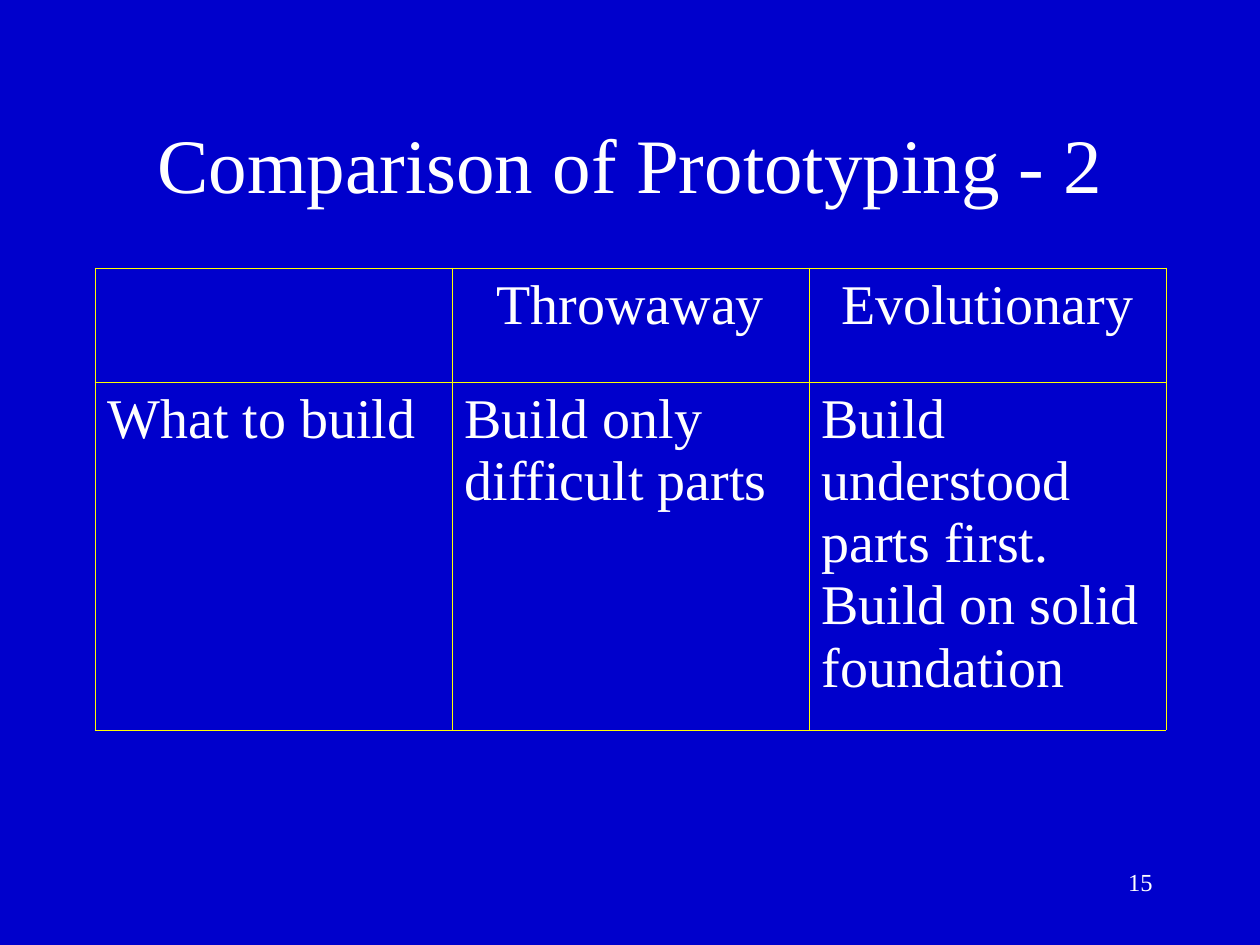
from lxml import etree
from pptx import Presentation
from pptx.dml.color import RGBColor
from pptx.enum.text import MSO_ANCHOR, PP_ALIGN
from pptx.oxml.ns import qn
from pptx.util import Emu, Pt

LEFT, CENTER, RIGHT = PP_ALIGN.LEFT, PP_ALIGN.CENTER, PP_ALIGN.RIGHT
TOP, MIDDLE = MSO_ANCHOR.TOP, MSO_ANCHOR.MIDDLE
FONT = "Times New Roman"
BLUE, WHITE, YELLOW = "0000CC", "FFFFFF", "FFFF00"
COL_WIDTH = 357
ROW_HEIGHTS = [114, 348]
ROWS = [
    ["", "Throwaway", "Evolutionary"],
    ["What to build", "Build only difficult parts",
     "Build understood parts first. Build on solid foundation"],
]


def px(n):
    """Turn pixels into EMU at 126 pixels to the inch."""
    return Emu(round(n * 914400 / 126))


def color(value):
    """Turn a hex string into a colour."""
    return RGBColor.from_string(value)


def write(tf, text, size, align=LEFT):
    """Put one formatted paragraph into a text frame."""
    tf.word_wrap = True
    p = tf.paragraphs[0]
    p.alignment = align
    r = p.add_run()
    r.text = text
    r.font.name = FONT
    r.font.size = Pt(size)
    r.font.color.rgb = color(WHITE)


def add_title(s, text, x, y, w, h):
    """Place and format the title placeholder."""
    title = s.shapes.title
    title.left, title.top, title.width, title.height = map(px, (x, y, w, h))
    title.text_frame.vertical_anchor = MIDDLE
    write(title.text_frame, text, 44, CENTER)


def add_label(s, text, x, y, w, h, size, align):
    """Add a text box with one line of text."""
    tf = s.shapes.add_textbox(*map(px, (x, y, w, h))).text_frame
    tf.vertical_anchor = TOP
    write(tf, text, size, align)


def set_borders(cell, value, width):
    """Draw all four borders of a cell."""
    tc_pr = cell._tc.get_or_add_tcPr()
    for i, side in enumerate(("lnL", "lnR", "lnT", "lnB")):
        ln = etree.Element(qn(f"a:{side}"), w=str(Pt(width)))
        fill = etree.SubElement(ln, qn("a:solidFill"))
        etree.SubElement(fill, qn("a:srgbClr"), val=value)
        tc_pr.insert(i, ln)


def add_comparison(s, x, y):
    """Add the comparison table with a centred header row."""
    n_cols = len(ROWS[0])
    size = (COL_WIDTH * n_cols, sum(ROW_HEIGHTS))
    table = s.shapes.add_table(len(ROWS), n_cols, *map(px, (x, y, *size))).table
    table.first_row = table.horz_banding = False
    for col in table.columns:
        col.width = px(COL_WIDTH)
    for i, (height, texts) in enumerate(zip(ROW_HEIGHTS, ROWS)):
        table.rows[i].height = px(height)
        for j, text in enumerate(texts):
            cell = table.cell(i, j)
            cell.fill.background()
            cell.margin_left = cell.margin_right = Pt(7.2)
            cell.margin_top = cell.margin_bottom = Pt(3.6)
            set_borders(cell, YELLOW, 0.45)
            if text:
                write(cell.text_frame, text, 32, CENTER if i == 0 else LEFT)


def main():
    """Build the slide and save it."""
    prs = Presentation()
    prs.slide_width, prs.slide_height = px(1260), px(945)
    s = prs.slides.add_slide(prs.slide_layouts[5])
    s.background.fill.solid()
    s.background.fill.fore_color.rgb = color(BLUE)
    add_title(s, "Comparison of Prototyping - 2", 95, 84, 1071, 158)
    add_comparison(s, 95, 268)
    add_label(s, "15", 903, 861, 262, 63, 14, RIGHT)
    prs.save("out.pptx")


if __name__ == "__main__":
    main()
